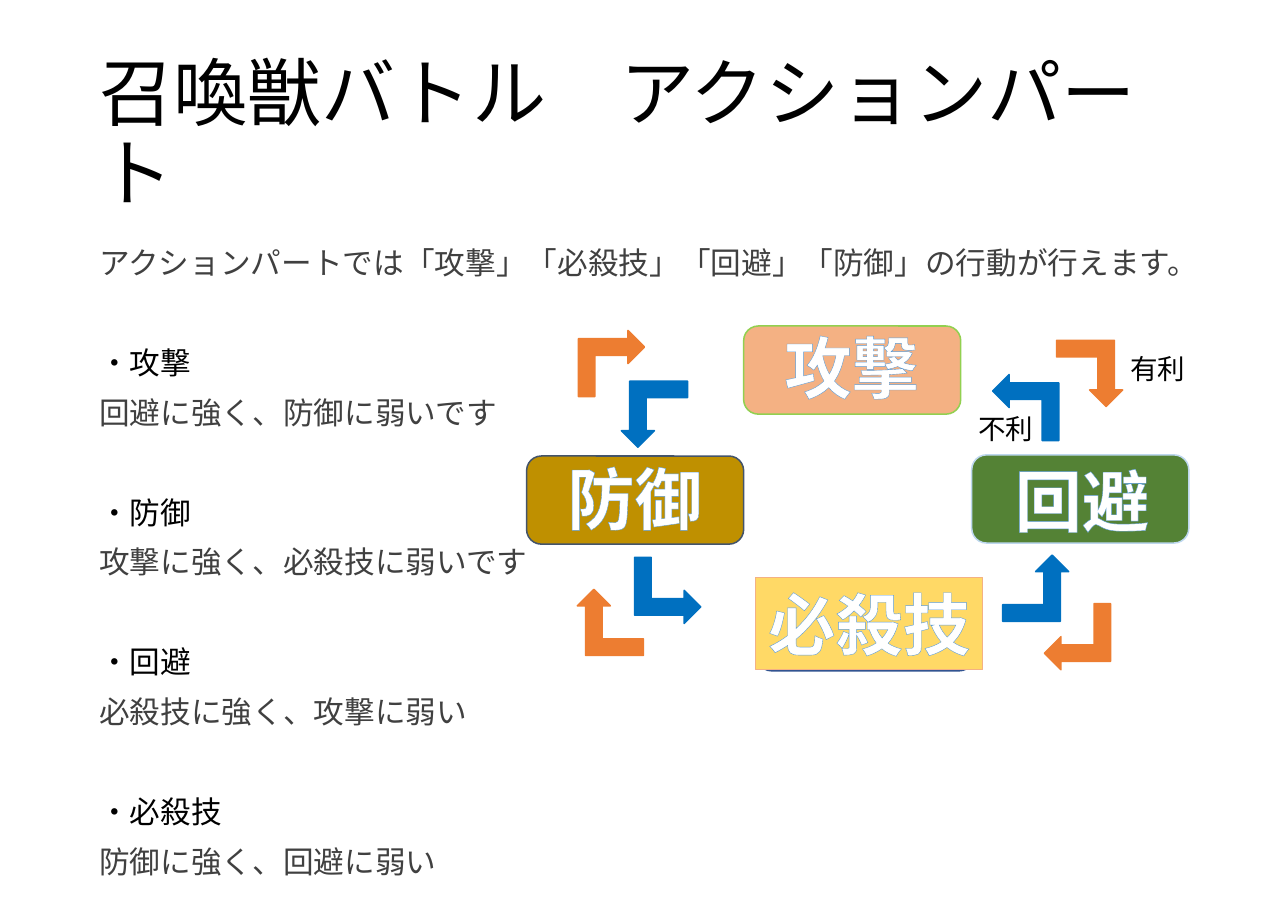
import dataclasses
import typing

import lxml.etree
import pptx
import pptx.dml.color
import pptx.enum.shapes
import pptx.enum.text
import pptx.oxml.ns
import pptx.util

FONT = "Noto Sans CJK JP"
BLACK, GREY, WHITE = "000000", "404040", "FFFFFF"
GOOD, BAD = "ED7D31", "0070C0"
KIND = pptx.enum.shapes.MSO_SHAPE
ALIGN = pptx.enum.text.PP_ALIGN
FIT = pptx.enum.text.MSO_AUTO_SIZE
ANCHOR = pptx.enum.text.MSO_ANCHOR
qn = pptx.oxml.ns.qn


@dataclasses.dataclass
class Card:
    left: float
    top: float
    fill: str
    line: str


@dataclasses.dataclass
class Arrow:
    left: float
    top: float
    turn: int
    color: str


@dataclasses.dataclass
class Label:
    text: str
    left: float
    top: float
    width: float = 1.44
    height: float = 0.84
    size: float = 44
    color: str = WHITE
    bold: bool = True
    fill: str = ""


CARDS = [
    Card(6.75, 2.96, "F4B183", "92D050"),
    Card(8.82, 4.13, "548235", "BDD7EE"),
    Card(6.87, 5.29, "4472C4", "325491"),
    Card(4.78, 4.14, "BF9000", "44546A"),
]
ARROWS = [
    Arrow(9.59, 3.09, 180, GOOD),
    Arrow(9.48, 5.48, 270, GOOD),
    Arrow(5.24, 5.35, 0, GOOD),
    Arrow(5.25, 3.0, 90, GOOD),
    Arrow(5.64, 3.46, 180, BAD),
    Arrow(5.76, 5.06, 90, BAD),
    Arrow(9.1, 5.04, 0, BAD),
    Arrow(9.01, 3.4, 270, BAD),
]
LABELS = [
    Label("不利", 8.78, 3.69, 0.71, 0.4, 18, BLACK, False),
    Label("有利", 10.16, 3.15, 0.71, 0.4, 18, BLACK, False),
    Label("攻撃", 7.01, 2.91),
    Label("防御", 5.04, 4.1),
    Label("必殺技", 6.86, 5.24, 2.06, fill="FFD966"),
    Label("回避", 9.1, 4.12),
]
INTRO = "アクションパートでは「攻撃」「必殺技」「回避」「防御」の行動が行えます。"
MOVES = {
    "・攻撃": "回避に強く、防御に弱いです",
    "・防御": "攻撃に強く、必殺技に弱いです",
    "・回避": "必殺技に強く、攻撃に弱い",
    "・必殺技": "防御に強く、回避に弱い",
}


def put(item: typing.Any, form: dict) -> None:
    for name, value in form.items():
        setattr(item, name, value)


def frame(*sides: float) -> list:
    return [pptx.util.Inches(side) for side in sides]


def tint(part: typing.Any, color: str) -> None:
    """Colour a fill or a line fill."""
    part.solid()
    part.fore_color.rgb = pptx.dml.color.RGBColor.from_string(color)


def paint(shape: typing.Any, fill: str, line: str, width: float = 1) -> None:
    tint(shape.fill, fill)
    tint(shape.line.fill, line)
    shape.line.width = pptx.util.Pt(width)


def write(para: typing.Any, text: str, size: float, color: str, bold: bool = False) -> typing.Any:
    run = para.add_run()
    run.text = text
    put(run.font, {"name": FONT, "size": pptx.util.Pt(size), "bold": bold})
    tint(run.font.fill, color)
    props = run.font._element
    lxml.etree.SubElement(props, qn("a:ea")).set("typeface", FONT)
    return props


def outline(props: typing.Any, color: str) -> None:
    line = lxml.etree.Element(qn("a:ln"), w="10160")
    fill = lxml.etree.SubElement(line, qn("a:solidFill"))
    lxml.etree.SubElement(fill, qn("a:srgbClr"), val=color)
    props.insert(0, line)


def place(holder: typing.Any, sides: list, anchor: typing.Any) -> typing.Any:
    put(holder, dict(zip(("left", "top", "width", "height"), sides)))
    put(holder.text_frame, {"word_wrap": True, "auto_size": FIT.NONE, "vertical_anchor": anchor})
    return holder.text_frame


def add_title(slide: typing.Any) -> None:
    text = place(slide.shapes.title, frame(0.8, 0.44, 10.08, 1.6), ANCHOR.MIDDLE)
    para = text.paragraphs[0]
    put(para, {"alignment": ALIGN.LEFT, "line_spacing": 0.9})
    write(para, "召喚獣バトル\u3000アクションパート".replace("\u3000", "　"), 48.5, BLACK)


def add_body(slide: typing.Any) -> None:
    text = place(slide.placeholders[1], frame(0.8, 2.2, 10.08, 5.88), ANCHOR.TOP)
    rows = [(INTRO, GREY, 11)]
    for head, note in MOVES.items():
        rows += [(head, BLACK, 43.7), (note, GREY, 11)]
    for i, (words, color, gap) in enumerate(rows):
        para = text.add_paragraph() if i else text.paragraphs[0]
        put(para, {"alignment": ALIGN.LEFT, "line_spacing": 0.9, "space_before": pptx.util.Pt(gap)})
        props = para._p.get_or_add_pPr()
        props.set("marL", "0")
        props.set("indent", "0")
        lxml.etree.SubElement(props, qn("a:buNone"))
        write(para, words, 20, color)


def add_card(slide: typing.Any, card: Card) -> None:
    shape = slide.shapes.add_shape(KIND.ROUNDED_RECTANGLE, *frame(card.left, card.top, 1.97, 0.8))
    shape.shadow.inherit = False
    paint(shape, card.fill, card.line)


def add_arrow(slide: typing.Any, arrow: Arrow) -> None:
    shape = slide.shapes.add_shape(KIND.BENT_UP_ARROW, *frame(arrow.left, arrow.top, 0.6, 0.6))
    shape.shadow.inherit = False
    paint(shape, arrow.color, arrow.color)
    shape.rotation = arrow.turn
    if arrow.color == GOOD:
        shape._element.spPr.find(qn("a:xfrm")).set("flipH", "1")


def add_label(slide: typing.Any, label: Label) -> None:
    box = slide.shapes.add_textbox(*frame(label.left, label.top, label.width, label.height))
    put(box.text_frame, {"word_wrap": False, "auto_size": FIT.SHAPE_TO_FIT_TEXT})
    if label.fill:
        paint(box, label.fill, "F4B183", 0.75)
    para = box.text_frame.paragraphs[0]
    para.alignment = ALIGN.CENTER if label.bold else ALIGN.LEFT
    props = write(para, label.text, label.size, label.color, label.bold)
    if label.bold:
        outline(props, "5B9BD5")


def main() -> None:
    deck = pptx.Presentation()
    put(deck, dict(zip(("slide_width", "slide_height"), frame(11.69, 8.27))))
    slide = deck.slides.add_slide(deck.slide_layouts[1])

    # Heading and rules
    add_title(slide)
    add_body(slide)

    # Cycle of moves
    for card in CARDS:
        add_card(slide, card)
    for arrow in ARROWS:
        add_arrow(slide, arrow)
    for label in LABELS:
        add_label(slide, label)

    deck.save("out.pptx")


if __name__ == "__main__":
    main()
